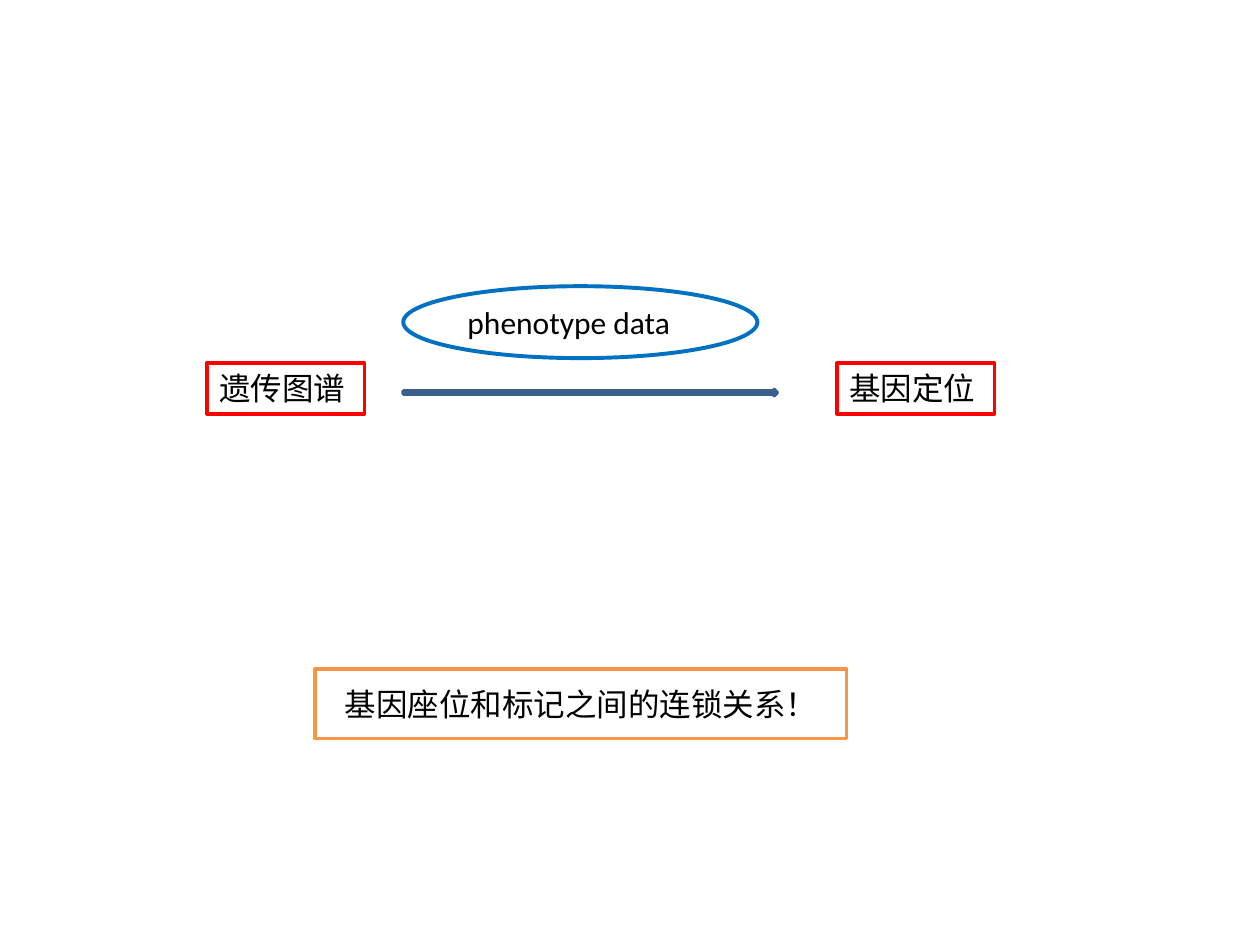
from lxml import etree
from pptx import Presentation
from pptx.dml.color import RGBColor
from pptx.enum.shapes import MSO_SHAPE
from pptx.enum.text import MSO_ANCHOR, MSO_AUTO_SIZE, PP_ALIGN
from pptx.oxml.ns import qn
from pptx.util import Cm, Pt

RECT, OVAL, ARROW = MSO_SHAPE.RECTANGLE, MSO_SHAPE.OVAL, MSO_SHAPE.RIGHT_ARROW
TOP, MIDDLE = MSO_ANCHOR.TOP, MSO_ANCHOR.MIDDLE
LEFT, CENTER = PP_ALIGN.LEFT, PP_ALIGN.CENTER
GROW, FIXED = MSO_AUTO_SIZE.SHAPE_TO_FIT_TEXT, MSO_AUTO_SIZE.NONE

LATIN, CJK = "Calibri", "Noto Sans CJK SC"
COLORS = {
    "white": "FFFFFF", "text": "000000", "red": "FF0000", "blue": "0070C0",
    "orange": "F79646", "arrow": "4F81BD", "arrow_line": "3A5F8C",
}


def rgb(name):
    return RGBColor.from_string(COLORS[name])


def add_figure(s, kind, box, line, weight, fill="white"):
    sp = s.shapes.add_shape(kind, *(Cm(v) for v in box))
    sp.shadow.inherit = False
    sp.fill.solid()
    sp.fill.fore_color.rgb = rgb(fill)
    sp.line.color.rgb = rgb(line)
    sp.line.width = Pt(weight)
    return sp


def add_label(sp, text, font=LATIN, align=LEFT, anchor=TOP, fit=GROW):
    tf = sp.text_frame
    tf.word_wrap = True
    tf.auto_size = fit
    tf.vertical_anchor = anchor
    p = tf.paragraphs[0]
    p.alignment = align
    r = p.add_run()
    r.text = text
    r.font.size = Pt(18)
    r.font.name = font
    r.font.color.rgb = rgb("text")
    # Typeface for the Chinese characters
    etree.SubElement(r.font._element, qn("a:ea")).set("typeface", CJK)


def main():
    prs = Presentation()
    prs.slide_width, prs.slide_height = Cm(25.4), Cm(19.05)
    s = prs.slides.add_slide(prs.slide_layouts[6])

    # Start and end of the process
    for x, text in ((4.17, "遗传图谱"), (16.87, "基因定位")):
        add_label(add_figure(s, RECT, (x, 7.32, 3.18, 1.02), "red", 2.25), text)

    # Arrow between them, with the data it needs above
    add_figure(s, ARROW, (8.13, 7.85, 7.54, 0.13), "arrow_line", 2, "arrow")
    oval = add_figure(s, OVAL, (8.13, 5.77, 7.14, 1.45), "blue", 2.25)
    add_label(oval, "phenotype data")

    # Conclusion
    note = add_figure(s, RECT, (6.35, 13.49, 10.72, 1.4), "orange", 2)
    add_label(note, "基因座位和标记之间的连锁关系！", CJK, CENTER, MIDDLE, FIXED)

    prs.save("out.pptx")


if __name__ == "__main__":
    main()
